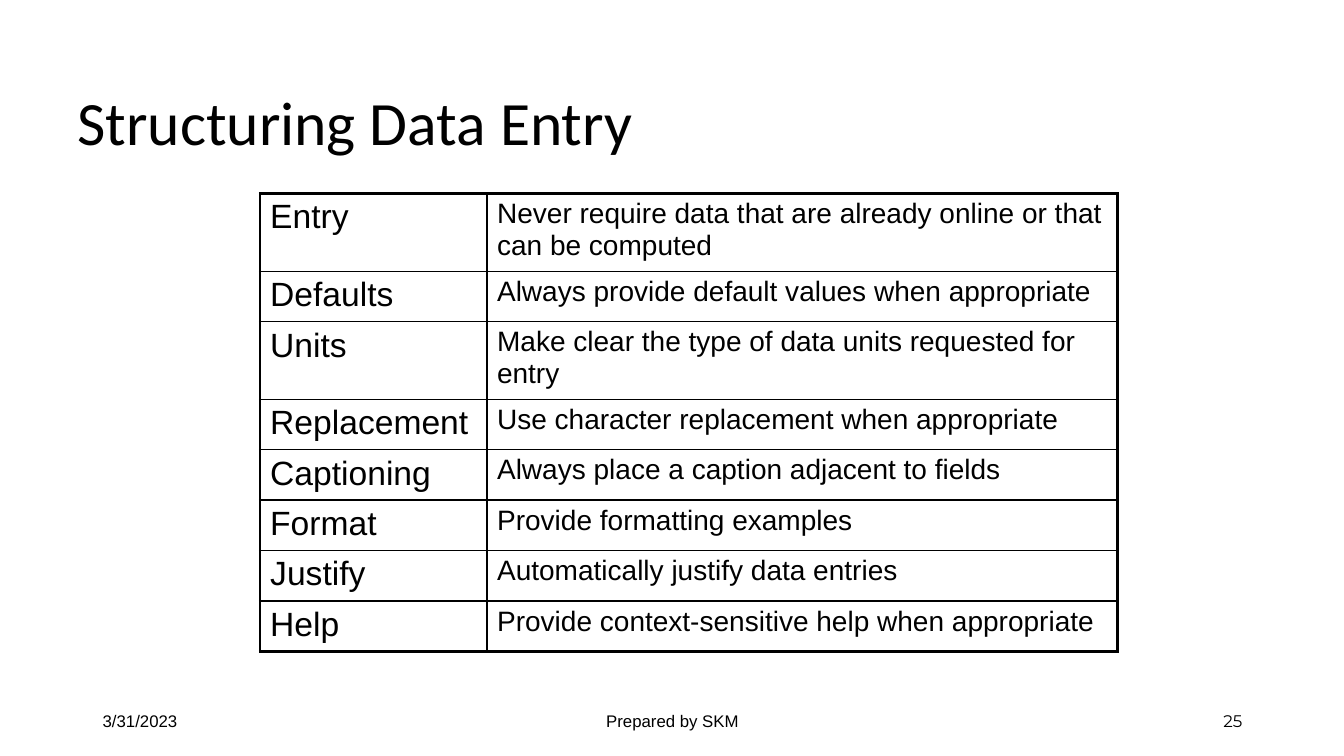
"""Build the "Structuring Data Entry" slide: a title, a table of guidelines and a footer."""
from dataclasses import dataclass

from lxml.etree import SubElement
from pptx import Presentation
from pptx.dml.color import RGBColor
from pptx.enum.text import MSO_ANCHOR as Anchor, PP_ALIGN as Align
from pptx.oxml.ns import qn
from pptx.slide import Slide
from pptx.table import _Cell as Cell
from pptx.text.text import _Paragraph as Paragraph
from pptx.util import Emu, Pt

EMU_PER_PX = 9144


@dataclass(frozen=True)
class Theme:
    ink: str = "000000"
    heading_font: str = "Calibri"
    body_font: str = "Arial"
    number_font: str = "Montserrat"
    title_size: int = 44
    term_size: int = 24
    advice_size: int = 20
    footer_size: int = 12
    outer_border: float = 2.25
    inner_border: float = 1


@dataclass(frozen=True)
class Label:
    text: str
    left: int
    top: int
    width: int
    height: int
    font: str
    size: int
    align: Align = Align.LEFT
    line_spacing: float = 1.0


@dataclass(frozen=True)
class Guideline:
    term: str
    advice: str
    height: int = 50


THEME = Theme()
FOOTER_TOP, FOOTER_HEIGHT = 695, 40
TABLE_LEFT, TABLE_TOP = 258, 192
COLUMN_WIDTHS = (225, 625)
TALL_ROW = 77

LABELS = (
    Label("Structuring Data Entry", 67, 50, 1200, 150,
          THEME.heading_font, THEME.title_size, line_spacing=0.9),
    Label("3/31/2023", 92, FOOTER_TOP, 300, FOOTER_HEIGHT,
          THEME.body_font, THEME.footer_size),
    Label("Prepared by SKM", 442, FOOTER_TOP, 450, FOOTER_HEIGHT,
          THEME.body_font, THEME.footer_size, Align.CENTER),
    Label("25", 942, FOOTER_TOP, 300, FOOTER_HEIGHT,
          THEME.number_font, THEME.footer_size, Align.RIGHT),
)

GUIDELINES = (
    Guideline("Entry", "Never require data that are already online or that can be computed", TALL_ROW),
    Guideline("Defaults", "Always provide default values when appropriate"),
    Guideline("Units", "Make clear the type of data units requested for entry", TALL_ROW),
    Guideline("Replacement", "Use character replacement when appropriate"),
    Guideline("Captioning", "Always place a caption adjacent to fields"),
    Guideline("Format", "Provide formatting examples"),
    Guideline("Justify", "Automatically justify data entries"),
    Guideline("Help", "Provide context-sensitive help when appropriate"),
)


def px(length: int) -> Emu:
    """Turn px into EMU."""
    return Emu(length * EMU_PER_PX)


def style_paragraph(paragraph: Paragraph, font: str, size: int) -> None:
    """Set the typeface, size and colour of a paragraph."""
    paragraph.font.name = font
    paragraph.font.size = Pt(size)
    paragraph.font.color.rgb = RGBColor.from_string(THEME.ink)


def add_label(slide: Slide, label: Label) -> None:
    """Add one line of text, centred vertically in its box."""
    shape = slide.shapes.add_textbox(
        px(label.left), px(label.top), px(label.width), px(label.height))
    frame = shape.text_frame
    frame.word_wrap = True
    frame.vertical_anchor = Anchor.MIDDLE
    paragraph = frame.paragraphs[0]
    paragraph.text = label.text
    paragraph.alignment = label.align
    paragraph.line_spacing = label.line_spacing
    style_paragraph(paragraph, label.font, label.size)


def set_borders(cell: Cell, outer_sides: dict[str, bool]) -> None:
    """Draw the four cell borders, heavier on the outside of the table."""
    properties = cell._tc.get_or_add_tcPr()
    for side, is_outer in outer_sides.items():
        width = THEME.outer_border if is_outer else THEME.inner_border
        line = SubElement(properties, qn(f"a:ln{side}"), w=str(Pt(width)))
        fill = SubElement(line, qn("a:solidFill"))
        SubElement(fill, qn("a:srgbClr"), val=THEME.ink)


def add_guidelines(slide: Slide, guidelines: tuple[Guideline, ...]) -> None:
    """Add the table with one row for each guideline."""
    last_row, last_column = len(guidelines) - 1, len(COLUMN_WIDTHS) - 1
    table = slide.shapes.add_table(
        len(guidelines), len(COLUMN_WIDTHS), px(TABLE_LEFT), px(TABLE_TOP),
        px(sum(COLUMN_WIDTHS)), px(sum(item.height for item in guidelines))).table
    table.first_row = table.horz_banding = False
    for column, width in zip(table.columns, COLUMN_WIDTHS):
        column.width = px(width)
    for row, item in enumerate(guidelines):
        table.rows[row].height = px(item.height)
        texts = ((item.term, THEME.term_size), (item.advice, THEME.advice_size))
        for column, (text, size) in enumerate(texts):
            cell = table.cell(row, column)
            cell.text = text
            style_paragraph(cell.text_frame.paragraphs[0], THEME.body_font, size)
            set_borders(cell, {"L": column == 0, "R": column == last_column,
                               "T": row == 0, "B": row == last_row})
            cell.fill.background()


def main() -> None:
    """Build and save the presentation."""
    presentation = Presentation()
    presentation.slide_width, presentation.slide_height = px(1333), px(750)
    slide = presentation.slides.add_slide(presentation.slide_layouts[6])
    for label in LABELS:
        add_label(slide, label)
    add_guidelines(slide, GUIDELINES)
    presentation.save("out.pptx")


if __name__ == "__main__":
    main()
